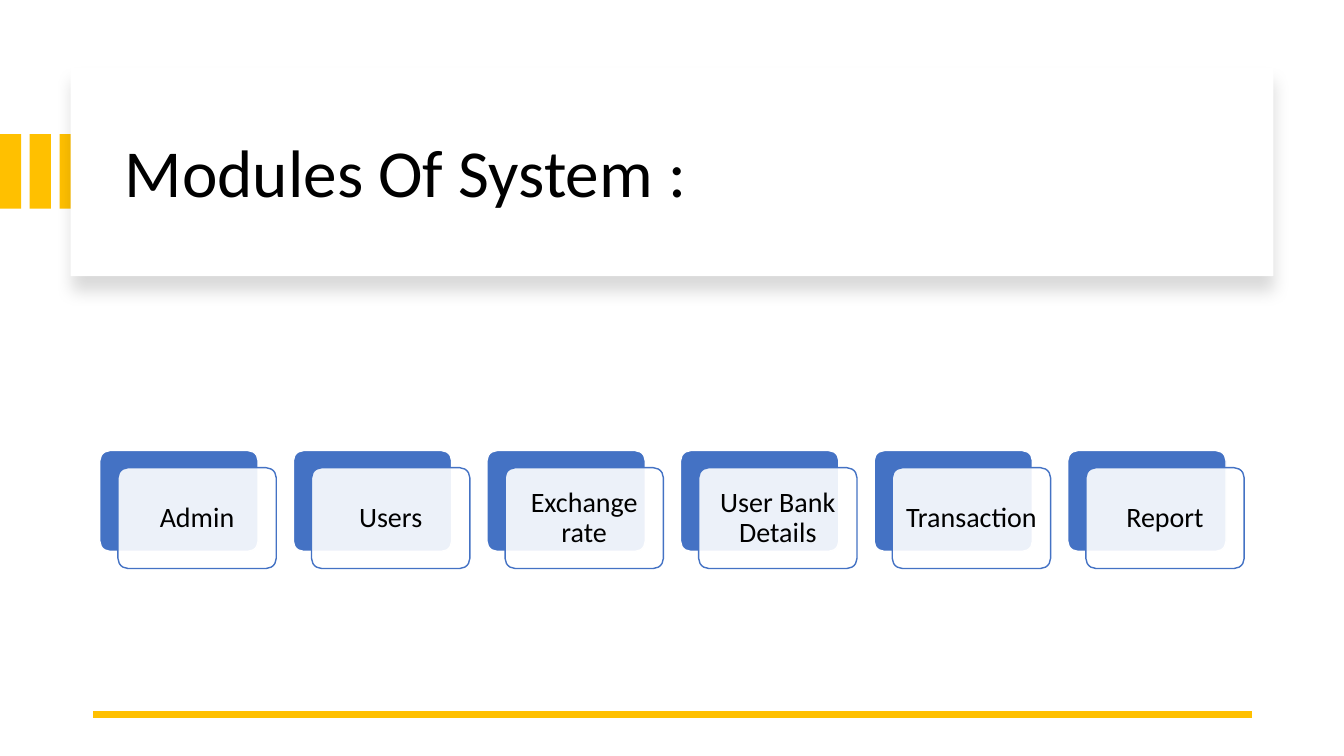
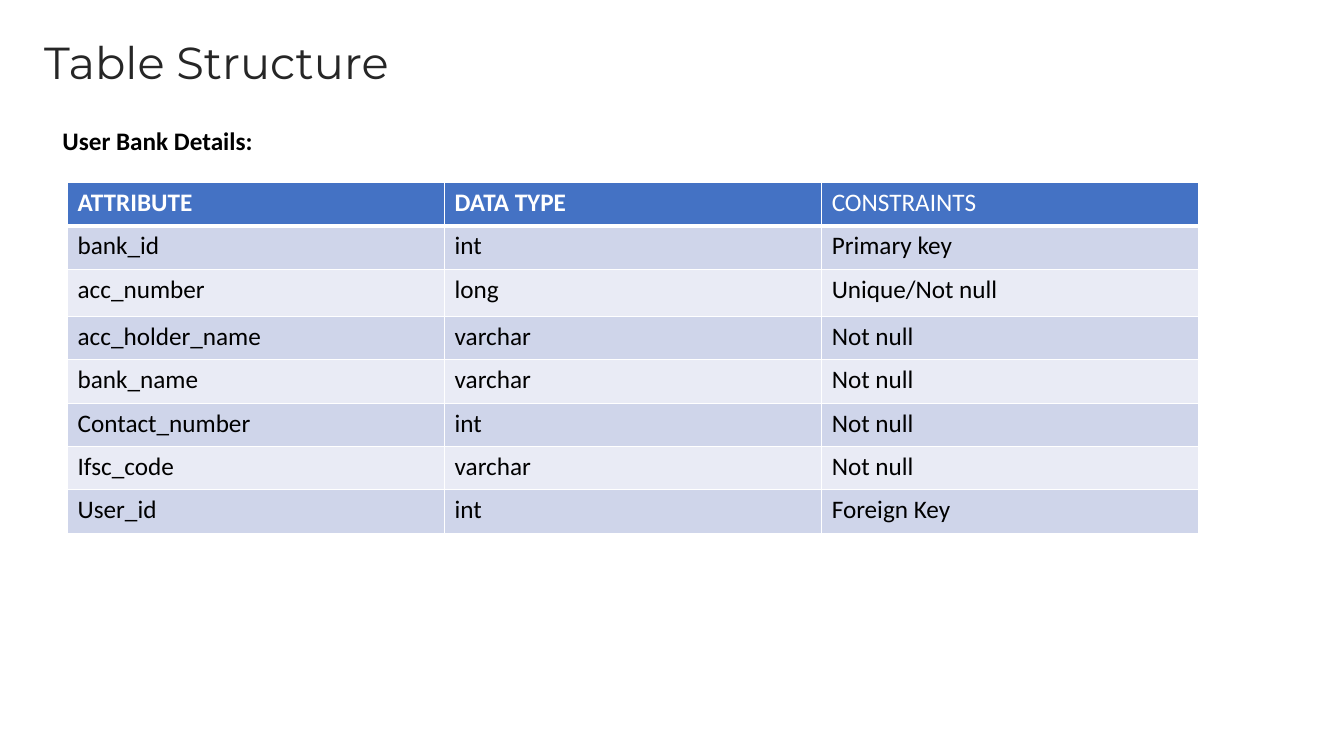
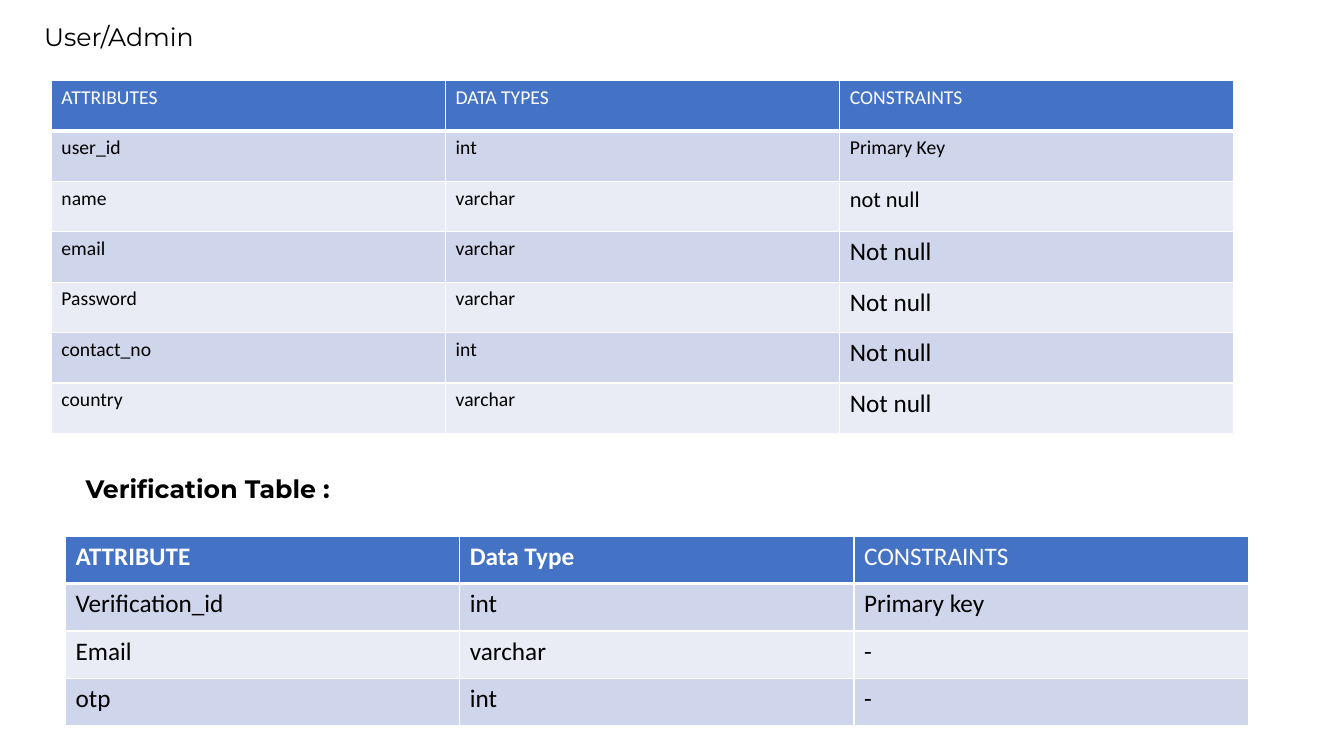
from pptx import Presentation
from pptx.dml.color import RGBColor
from pptx.enum.shapes import MSO_CONNECTOR, MSO_SHAPE
from pptx.enum.text import MSO_ANCHOR, PP_ALIGN
from pptx.oxml.ns import qn
from pptx.util import Inches, Pt
from lxml.etree import SubElement

COLOURS = {
    "white": "FFFFFF",
    "black": "000000",
    "title": "262626",
    "gold": "FFC000",
    "blue": "4472C4",
    "band_dark": "CFD5EA",
    "band_light": "E9EBF5",
}
RGB = {name: RGBColor.from_string(code) for name, code in COLOURS.items()}
BODY_FONT = "Calibri"
HEAD_FONT = "Montserrat"


def write_text(holder, text, size, font=BODY_FONT, colour="black", bold=False, spacing=1.0):
    """Fill a shape, text box or table cell with one formatted paragraph."""
    frame = holder.text_frame
    frame.word_wrap = True
    frame.text = text
    para = frame.paragraphs[0]
    para.line_spacing = spacing
    for span in para.runs:
        span.font.size = Pt(size)
        span.font.name = font
        span.font.bold = bold
        span.font.color.rgb = RGB[colour]


def add_grid(slide, left, top, column_width, heights, rows, size=18, bold_heads=2, last_sizes=()):
    """Add a banded table; last_sizes overrides the last column's text size by row."""
    columns = len(rows[0])
    grid = slide.shapes.add_table(
        len(rows), columns, Inches(left), Inches(top),
        Inches(column_width * columns), Inches(sum(heights)),
    ).table
    for column in grid.columns:
        column.width = Inches(column_width)
    for r, (row, height) in enumerate(zip(rows, heights)):
        grid.rows[r].height = Inches(height)
        fill = "blue" if r == 0 else "band_dark" if r % 2 else "band_light"
        for c, text in enumerate(row):
            cell = grid.cell(r, c)
            cell_size = last_sizes[r] if last_sizes and c == columns - 1 else size
            write_text(cell, text, cell_size, colour="black" if r else "white",
                       bold=r == 0 and c < bold_heads)
            properties = cell._tc.get_or_add_tcPr()
            for side in ("lnL", "lnR", "lnT", "lnB"):
                under_header = (r, side) in ((0, "lnB"), (1, "lnT"))
                border = SubElement(properties, qn("a:" + side), w=str(Pt(3 if under_header else 1)))
                SubElement(SubElement(border, qn("a:solidFill")), qn("a:srgbClr"), val=COLOURS["white"])
            cell.fill.solid()
            cell.fill.fore_color.rgb = RGB[fill]


deck = Presentation()
deck.slide_width = Inches(13.33)
deck.slide_height = Inches(7.5)
blank = deck.slide_layouts[6]

# Slide 1: modules
slide = deck.slides.add_slide(blank)
modules = ["Admin", "Users", "Exchange rate", "User Bank Details", "Transaction", "Report"]
boxes = [(MSO_SHAPE.RECTANGLE, 0.295 * i, 1.33, 0.21, 0.74, "gold", None, "") for i in range(3)]
boxes.append((MSO_SHAPE.RECTANGLE, 0.7, 0.67, 11.93, 2.07, "white", None, ""))
for i, module in enumerate(modules):
    left = 0.99 + 1.92 * i
    boxes.append((MSO_SHAPE.ROUNDED_RECTANGLE, left, 4.47, 1.57, 1, "blue", "white", ""))
    boxes.append((MSO_SHAPE.ROUNDED_RECTANGLE, left + 0.18, 4.64, 1.57, 1, "white", "blue", module))

for kind, left, top, width, height, fill, line, text in boxes:
    box = slide.shapes.add_shape(kind, Inches(left), Inches(top), Inches(width), Inches(height))
    box.shadow.inherit = False
    box.fill.solid()
    box.fill.fore_color.rgb = RGB[fill]
    if line:
        box.adjustments[0] = 0.1
        box.line.color.rgb = RGB[line]
        box.line.width = Pt(1)
    else:
        box.line.fill.background()
    properties = box._element.spPr
    if text:
        SubElement(properties.find(qn("a:solidFill"))[0], qn("a:alpha"), val="90000")
        write_text(box, text, 20, spacing=0.9)
        box.text_frame.margin_left = box.text_frame.margin_right = Inches(0.1)
        box.text_frame.vertical_anchor = MSO_ANCHOR.MIDDLE
        box.text_frame.paragraphs[0].alignment = PP_ALIGN.CENTER
    elif fill == "white":
        shadow = SubElement(properties.find(qn("a:effectLst")), qn("a:outerShdw"),
                            blurRad=str(Pt(11)), dist=str(Pt(10)), dir="5400000",
                            algn="t", rotWithShape="0")
        shade = SubElement(shadow, qn("a:srgbClr"), val=COLOURS["black"])
        SubElement(shade, qn("a:alpha"), val="15000")

rule = slide.shapes.add_connector(
    MSO_CONNECTOR.STRAIGHT, Inches(12.42), Inches(7.09), Inches(0.92), Inches(7.09))
rule.line.color.rgb = RGB["gold"]
rule.line.width = Pt(4.5)
SubElement(rule._element.spPr, qn("a:effectLst"))

module_slide = slide
structure_slide = deck.slides.add_slide(blank)
account_slide = deck.slides.add_slide(blank)

# Headings of all slides
headings = [
    (module_slide, 1.14, 0.89, 11.13, 1.7, "Modules Of System :", 48, BODY_FONT, "black", False, 0.9),
    (structure_slide, 0.34, 0.2, 11.77, 0.89, "Table Structure", 32, HEAD_FONT, "title", False, 0.9),
    (structure_slide, 0.52, 1.19, 2.48, 0.4, "User Bank Details:", 18, BODY_FONT, "black", True, 1.0),
    (account_slide, 0.34, 0.16, 3.2, 0.4, "User/Admin", 18, HEAD_FONT, "black", False, 1.0),
    (account_slide, 0.75, 4.54, 10.87, 0.65, "Verification Table :", 18, HEAD_FONT, "black", True, 0.9),
]
for slide, left, top, width, height, *style in headings:
    heading = slide.shapes.add_textbox(Inches(left), Inches(top), Inches(width), Inches(height))
    write_text(heading, *style)
    heading.text_frame.vertical_anchor = MSO_ANCHOR.MIDDLE

# Slide 2: bank details table
add_grid(structure_slide, 0.67, 1.81, 3.74, [0.43] * 2 + [0.47] + [0.43] * 5, [
    ("ATTRIBUTE", "DATA TYPE", "CONSTRAINTS"),
    ("bank_id", "int", "Primary key"),
    ("acc_number", "long", "Unique/Not null"),
    ("acc_holder_name", "varchar", "Not null"),
    ("bank_name", "varchar", "Not null"),
    ("Contact_number", "int", "Not null"),
    ("Ifsc_code", "varchar", "Not null"),
    ("User_id", "int", "Foreign Key"),
])

# Slide 3: account and verification tables
add_grid(account_slide, 0.51, 0.8, 3.91, [0.5] * 7, [
    ("ATTRIBUTES", "DATA TYPES", "CONSTRAINTS"),
    ("user_id", "int", "Primary Key"),
    ("name", "varchar", "not null"),
    ("email", "varchar", "Not null"),
    ("Password", "varchar", "Not null"),
    ("contact_no", "int", "Not null"),
    ("country", "varchar", "Not null"),
], size=14, bold_heads=0, last_sizes=(14, 14, 16, 18, 18, 18, 18))
add_grid(account_slide, 0.65, 5.32, 3.91, [0.47] * 4, [
    ("ATTRIBUTE", "Data Type", "CONSTRAINTS"),
    ("Verification_id", "int", "Primary key"),
    ("Email", "varchar", "-"),
    ("otp", "int", "-"),
])

deck.save("out.pptx")
